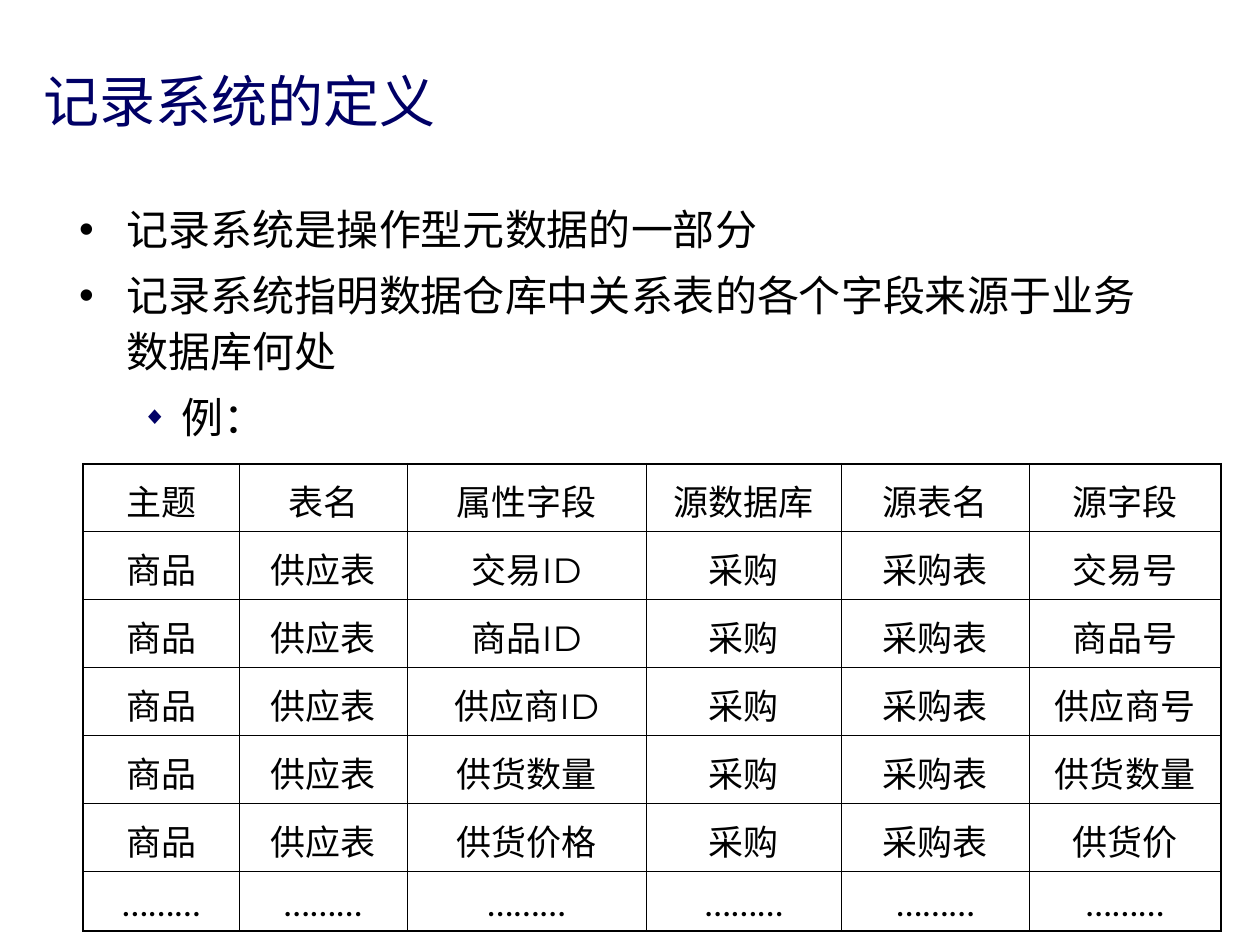
from dataclasses import dataclass

from lxml import etree
from pptx import Presentation
from pptx.dml.color import RGBColor
from pptx.enum.text import MSO_ANCHOR, PP_ALIGN
from pptx.oxml.ns import qn
from pptx.util import Inches, Pt

TOP, BOTTOM = MSO_ANCHOR.TOP, MSO_ANCHOR.BOTTOM
LEFT, CENTER = PP_ALIGN.LEFT, PP_ALIGN.CENTER


@dataclass(frozen=True)
class Theme:
    navy: str = "000066"
    black: str = "000000"
    white: str = "FFFFFF"
    font: str = "Montserrat"
    plain: str = "Lato"
    narrow: str = "Arial Narrow"
    head: int = 32
    body: int = 24
    cell: int = 20
    thin: float = 0.45
    thick: float = 1.08


@dataclass(frozen=True)
class Bullet:
    mark: str
    color: str
    left: float
    hang: float
    scale: int = 100


@dataclass(frozen=True)
class Point:
    text: str
    font: str
    bullet: Bullet
    level: int = 0


THEME = Theme()
DOT = Bullet("•", THEME.black, 0.38, 0.38)
GEM = Bullet("◆", THEME.navy, 0.81, 0.31, 60)

POINTS = [
    Point("记录系统是操作型元数据的一部分", THEME.font, DOT),
    Point("记录系统指明数据仓库中关系表的各个字段来源于业务数据库何处", THEME.font, DOT),
    Point("例：", THEME.narrow, GEM, 1),
]

# Each pair is a table field and the source field it comes from
FIELDS = [
    ("交易ID", "交易号"),
    ("商品ID", "商品号"),
    ("供应商ID", "供应商号"),
    ("供货数量", "供货数量"),
    ("供货价格", "供货价"),
]
DOTS = "………"
WIDTHS = [1.24, 1.33, 1.9, 1.55, 1.49, 1.52]
ROWS = [
    ["主题", "表名", "属性字段", "源数据库", "源表名", "源字段"],
    *(["商品", "供应表", field, "采购", "采购表", source] for field, source in FIELDS),
    [DOTS] * len(WIDTHS),
]
TALL, SHORT = 0.54, 0.47


def add_mark(para, bullet: Bullet) -> None:
    """Give a paragraph its hanging indent and bullet."""
    props = para._p.get_or_add_pPr()
    props.set("marL", str(Inches(bullet.left)))
    props.set("indent", str(-Inches(bullet.hang)))
    color = etree.SubElement(props, qn("a:buClr"))
    etree.SubElement(color, qn("a:srgbClr"), val=bullet.color)
    etree.SubElement(props, qn("a:buSzPct"), val=str(bullet.scale * 1000))
    etree.SubElement(props, qn("a:buFont"), typeface="Arial")
    etree.SubElement(props, qn("a:buChar"), char=bullet.mark)


def put_text(para, text: str, *, size: int, font: str = THEME.font,
             east: str = "", color: str = THEME.black, align=LEFT,
             line: float = 1.0, before: float = 0, level: int = 0,
             bullet: Bullet | None = None) -> None:
    """Write one formatted run into a paragraph."""
    if bullet:
        add_mark(para, bullet)
    para.level = level
    para.alignment = align
    para.line_spacing = line
    para.space_before = Pt(before)
    run = para.add_run()
    run.text = text
    run.font.size = Pt(size)
    run.font.color.rgb = RGBColor.from_string(color)
    run.font.name = font
    if east:
        etree.SubElement(run._r.get_or_add_rPr(), qn("a:ea"), typeface=east)


def add_box(slide, left: float, top: float, width: float, height: float, anchor=TOP):
    """Add a wrapping text box and return its frame."""
    box = slide.shapes.add_textbox(*map(Inches, (left, top, width, height)))
    frame = box.text_frame
    frame.word_wrap = True
    frame.vertical_anchor = anchor
    return frame


def set_edge(cell, sides: dict[str, float]) -> None:
    """Draw the cell borders, widths in points by side."""
    props = cell._tc.get_or_add_tcPr()
    for place, (side, width) in enumerate(sides.items()):
        edge = etree.Element(qn(f"a:ln{side}"), w=str(Pt(width)))
        fill = etree.SubElement(edge, qn("a:solidFill"))
        etree.SubElement(fill, qn("a:srgbClr"), val=THEME.black)
        props.insert(place, edge)


def add_grid(slide, left: float, top: float) -> None:
    """Add the field table with a heavier outer frame."""
    heights = [TALL] * (len(ROWS) - 1) + [SHORT]
    frame = slide.shapes.add_table(len(ROWS), len(WIDTHS), Inches(left), Inches(top),
                                   Inches(sum(WIDTHS)), Inches(sum(heights)))
    table = frame.table
    table.first_row = table.horz_banding = False
    for column, width in zip(table.columns, WIDTHS):
        column.width = Inches(width)
    last_row, last_col = len(ROWS) - 1, len(WIDTHS) - 1
    for i, texts in enumerate(ROWS):
        table.rows[i].height = Inches(heights[i])
        for j, text in enumerate(texts):
            cell = table.cell(i, j)
            cell.fill.background()
            outer = {"L": j == 0, "R": j == last_col, "T": i == 0, "B": i == last_row}
            set_edge(cell, {side: THEME.thick if out else THEME.thin
                            for side, out in outer.items()})
            style = {"font": THEME.plain, "east": THEME.plain} if text == DOTS else {}
            put_text(cell.text_frame.paragraphs[0], text, size=THEME.cell,
                     align=CENTER, line=1.1, **style)


def main() -> None:
    deck = Presentation()
    deck.slide_width, deck.slide_height = Inches(10), Inches(7.5)
    slide = deck.slides.add_slide(deck.slide_layouts[6])
    slide.background.fill.solid()
    slide.background.fill.fore_color.rgb = RGBColor.from_string(THEME.white)

    # Title
    title = add_box(slide, 0.25, 0.53, 9.42, 0.58, BOTTOM)
    put_text(title.paragraphs[0], "记录系统的定义", size=THEME.head,
             east=THEME.plain, color=THEME.navy)

    # Bullet points
    body = add_box(slide, 0.53, 1.53, 8.83, 4.92)
    for i, point in enumerate(POINTS):
        para = body.add_paragraph() if i else body.paragraphs[0]
        put_text(para, point.text, size=THEME.body, font=point.font,
                 east=THEME.plain, line=1.1, before=6 if i else 0,
                 level=point.level, bullet=point.bullet)

    # Table of fields and their sources
    add_grid(slide, 0.66, 3.68)
    deck.save("out.pptx")


if __name__ == "__main__":
    main()
